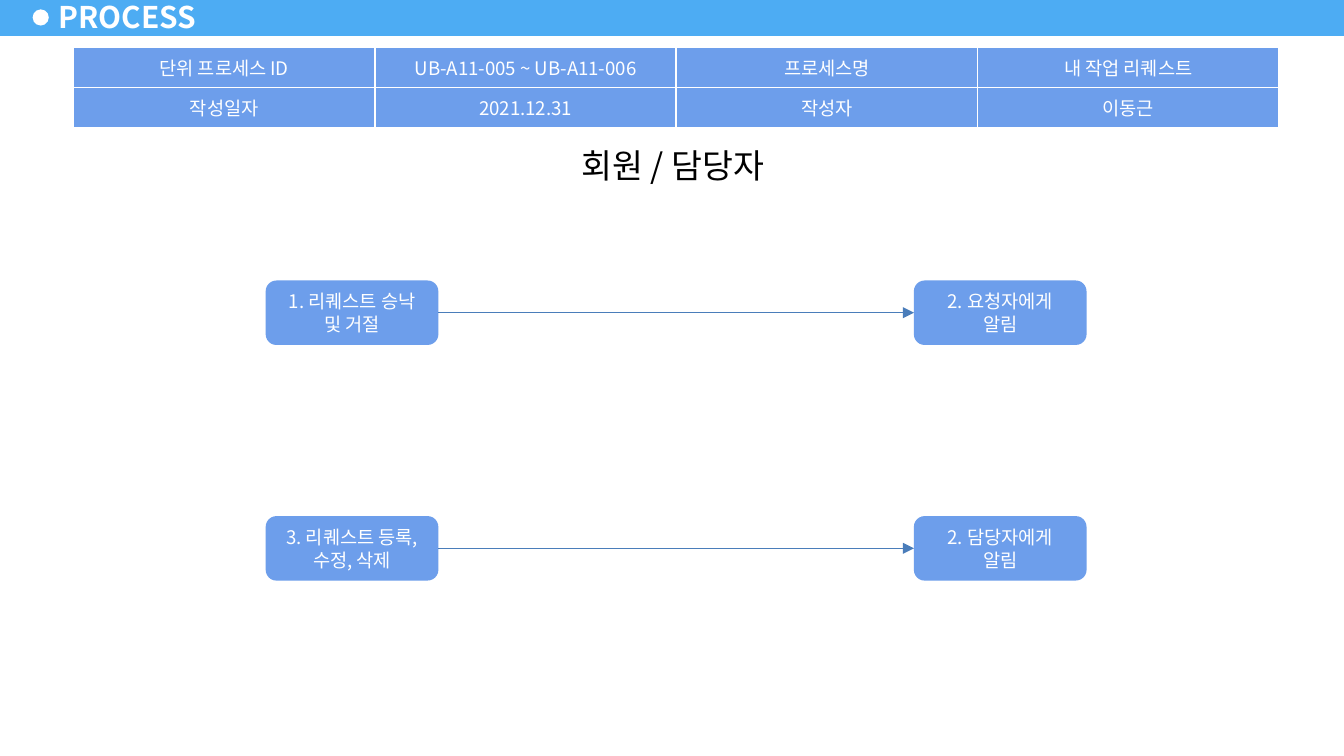
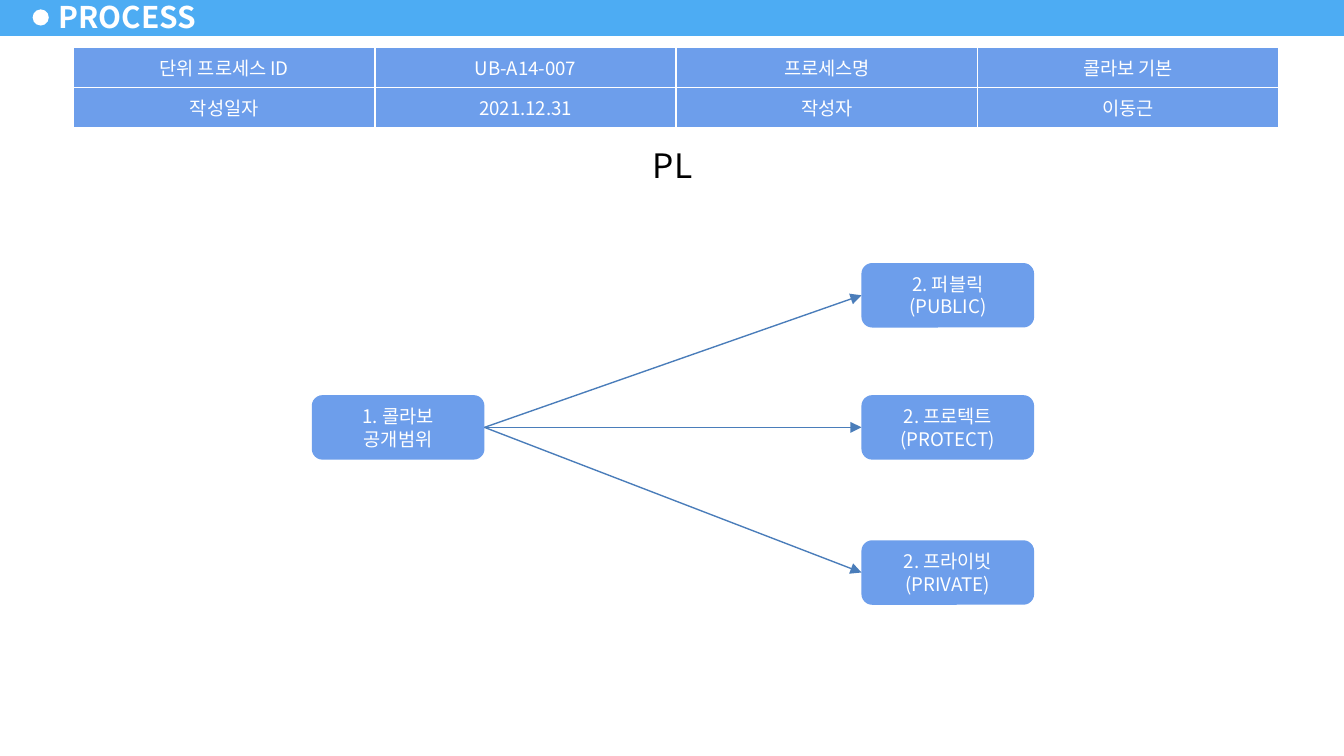
from dataclasses import dataclass
from typing import NamedTuple

from lxml import etree
from pptx import Presentation
from pptx.dml.color import RGBColor
from pptx.enum.shapes import MSO_CONNECTOR, MSO_SHAPE, PP_PLACEHOLDER
from pptx.enum.text import MSO_ANCHOR, MSO_AUTO_SIZE, PP_ALIGN
from pptx.oxml.ns import qn
from pptx.util import Inches, Pt

RECTANGLE = MSO_SHAPE.RECTANGLE
ROUNDED = MSO_SHAPE.ROUNDED_RECTANGLE
OVAL = MSO_SHAPE.OVAL
STRAIGHT = MSO_CONNECTOR.STRAIGHT
TITLE = PP_PLACEHOLDER.TITLE
TOP, MIDDLE = MSO_ANCHOR.TOP, MSO_ANCHOR.MIDDLE
LEFT, CENTER = PP_ALIGN.LEFT, PP_ALIGN.CENTER
FIT_SHAPE, NO_FIT = MSO_AUTO_SIZE.SHAPE_TO_FIT_TEXT, MSO_AUTO_SIZE.NONE

WHITE = RGBColor(0xFF, 0xFF, 0xFF)
BLACK = RGBColor(0x00, 0x00, 0x00)
BAND_BLUE = RGBColor(0x4D, 0xAC, 0xF3)
NODE_BLUE = RGBColor(0x6D, 0x9E, 0xEB)
LINK_BLUE = RGBColor(0x4A, 0x7D, 0xBA)

FONT = "Noto Sans CJK KR"
TITLE_FONT = {"size": Pt(16), "bold": True}
NODE_FONT = {"size": Pt(10), "bold": False}
ROLE_FONT = {"size": Pt(18), "bold": False}
INSETS = {"margin_left": Inches(0.1), "margin_right": Inches(0.1),
          "margin_top": Inches(0.05), "margin_bottom": Inches(0.05)}
TITLE_INSETS = {"margin_left": Inches(0.09), "margin_right": Inches(0.09),
                "margin_top": Inches(0.04), "margin_bottom": Inches(0.04)}

SLIDE_WIDTH, SLIDE_HEIGHT = Inches(10), Inches(5.625)
GRID_COLUMNS = 100
CELL = SLIDE_WIDTH / GRID_COLUMNS


class Area(NamedTuple):
    column: float
    row: float
    columns: float
    rows: float

    def lengths(self) -> list[int]:
        return [round(cells * CELL) for cells in self]


BAND = Area(0, -0.2, GRID_COLUMNS, 2.87)
DOT = Area(2.43, 0.7, 1.2, 1.2)
HEADING = Area(3.45, -0.4, 12.2, 3.2)
SUMMARY = Area(5.47, 3.52, 89.7, 5.7)
ROLE = Area(39.7, 10.3, 20.7, 4.1)
NODE_COLUMNS, NODE_ROWS = 12.85, 4.8


@dataclass(frozen=True)
class Step:
    text: str
    column: float
    row: float


@dataclass(frozen=True)
class Process:
    code: str
    name: str
    role: str
    steps: tuple[Step, ...]
    links: tuple[tuple[int, int], ...]


PROCESSES = (
    Process("UB-A11-005 ~ UB-A11-006", "내 작업 리퀘스트", "회원 / 담당자", (
        Step("1. 리퀘스트 승낙 및 거절", 19.77, 20.87),
        Step("2. 요청자에게 알림", 68, 20.87),
        Step("3. 리퀘스트 등록, 수정, 삭제", 19.77, 38.4),
        Step("2. 담당자에게 알림", 68, 38.4),
    ), ((0, 1), (2, 3))),
    Process("UB-A14-007", "콜라보 기본", "PL", (
        Step("1. 콜라보 공개범위", 23.2, 29.4),
        Step("2. 퍼블릭 (PUBLIC)", 64.1, 19.57),
        Step("2. 프로텍트 (PROTECT)", 64.1, 29.4),
        Step("2. 프라이빗 (PRIVATE)", 64.1, 40.2),
    ), ((0, 1), (0, 2), (0, 3))),
)


def apply(target, values: dict) -> None:
    for attribute, value in values.items():
        setattr(target, attribute, value)


def place(shape, area: Area) -> None:
    apply(shape, dict(zip(("left", "top", "width", "height"), area.lengths())))


def write(frame, text: str, font: dict, color: RGBColor, align=CENTER):
    paragraph = frame.paragraphs[0]
    paragraph.alignment = align
    run = paragraph.add_run()
    run.text = text
    apply(run.font, {"name": FONT, **font})
    run.font.color.rgb = color
    east_asian = etree.SubElement(run._r.get_or_add_rPr(), qn("a:ea"))
    east_asian.set("typeface", FONT)
    return paragraph


def add_block(slide, kind, area: Area, fill: RGBColor):
    block = slide.shapes.add_shape(kind, *area.lengths())
    block.shadow.inherit = False
    block.fill.solid()
    block.fill.fore_color.rgb = fill
    block.line.fill.background()
    return block


def share_band(slide, layout) -> None:
    for holder in list(layout.placeholders):
        if holder.placeholder_format.type == TITLE:
            heading = holder
        else:
            holder.element.getparent().remove(holder.element)
    for kind, area, fill in ((RECTANGLE, BAND, BAND_BLUE), (OVAL, DOT, WHITE)):
        heading.element.addprevious(add_block(slide, kind, area, fill).element)


def format_title(slide) -> None:
    title = slide.shapes.title
    place(title, HEADING)
    apply(title.text_frame, {**TITLE_INSETS, "vertical_anchor": MIDDLE,
                             "word_wrap": True, "auto_size": NO_FIT})
    write(title.text_frame, "PROCESS", TITLE_FONT, WHITE, LEFT)


def add_borders(cell) -> None:
    properties = cell._tc.get_or_add_tcPr()
    for position, side in enumerate(("lnL", "lnR", "lnT", "lnB")):
        border = etree.Element(qn(f"a:{side}"), w=str(Pt(1)))
        fill = etree.SubElement(border, qn("a:solidFill"))
        etree.SubElement(fill, qn("a:srgbClr"), val=str(WHITE))
        properties.insert(position, border)


def add_summary(slide, process: Process) -> None:
    entries = (("단위 프로세스 ID", process.code, "프로세스명", process.name),
               ("작성일자", "2021.12.31", "작성자", "이동근"))
    summary = slide.shapes.add_table(
        len(entries), len(entries[0]), *SUMMARY.lengths()).table
    for row, texts in enumerate(entries):
        for column, text in enumerate(texts):
            cell = summary.cell(row, column)
            apply(cell, {**INSETS, "vertical_anchor": MIDDLE})
            cell.fill.solid()
            cell.fill.fore_color.rgb = NODE_BLUE
            add_borders(cell)
            entry = write(cell.text_frame, text, NODE_FONT, WHITE)
            entry.level = 1
            properties = entry._p.get_or_add_pPr()
            for indent in ("marL", "indent"):
                properties.set(indent, "0")


def add_role(slide, text: str) -> None:
    role = add_block(slide, RECTANGLE, ROLE, WHITE)
    apply(role.text_frame, {**INSETS, "vertical_anchor": TOP,
                            "word_wrap": True, "auto_size": FIT_SHAPE})
    write(role.text_frame, text, ROLE_FONT, BLACK)


def add_step(slide, step: Step):
    area = Area(step.column, step.row, NODE_COLUMNS, NODE_ROWS)
    node = add_block(slide, ROUNDED, area, NODE_BLUE)
    apply(node.text_frame, {**INSETS, "vertical_anchor": MIDDLE,
                            "word_wrap": True})
    write(node.text_frame, step.text, NODE_FONT, WHITE)
    return node


def add_link(slide, source, target) -> None:
    link = slide.shapes.add_connector(STRAIGHT, 0, 0, 0, 0)
    link.begin_connect(source, 3)
    link.end_connect(target, 1)
    link.line.color.rgb = LINK_BLUE
    link.line.width = Pt(0.75)
    etree.SubElement(link.line._get_or_add_ln(), qn("a:tailEnd"), type="triangle")
    etree.SubElement(link.element.spPr, qn("a:effectLst"))


def main() -> None:
    deck = Presentation()
    apply(deck, {"slide_width": SLIDE_WIDTH, "slide_height": SLIDE_HEIGHT})
    layout = deck.slide_layouts[5]
    for number, process in enumerate(PROCESSES):
        slide = deck.slides.add_slide(layout)
        if number == 0:
            share_band(slide, layout)
        format_title(slide)
        add_summary(slide, process)
        add_role(slide, process.role)
        nodes = [add_step(slide, step) for step in process.steps]
        for source, target in process.links:
            add_link(slide, nodes[source], nodes[target])
    deck.save("out.pptx")


if __name__ == "__main__":
    main()
